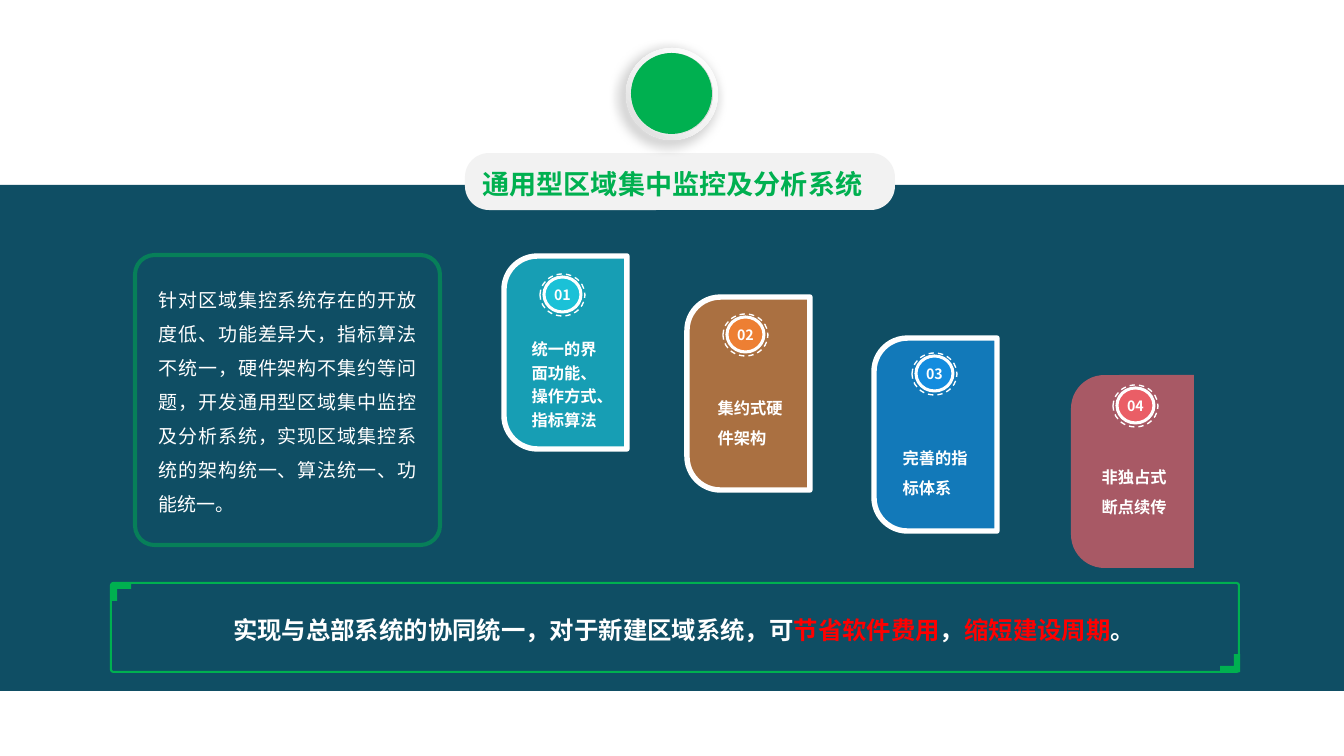
from pptx import Presentation
from pptx.dml.color import RGBColor
from pptx.enum.dml import MSO_LINE
from pptx.enum.shapes import MSO_SHAPE
from pptx.enum.text import MSO_ANCHOR, MSO_AUTO_SIZE, PP_ALIGN
from pptx.oxml import parse_xml
from pptx.oxml.ns import nsdecls, qn
from pptx.util import Pt
from lxml import etree

PX = 9378  # EMU per px, 97.5 px to the inch
ROUND, HALF_ROUND = MSO_SHAPE.ROUNDED_RECTANGLE, MSO_SHAPE.ROUND_2_SAME_RECTANGLE
OVAL, DONUT = MSO_SHAPE.OVAL, MSO_SHAPE.DONUT
LEFT, CENTER, JUSTIFY = PP_ALIGN.LEFT, PP_ALIGN.CENTER, PP_ALIGN.JUSTIFY
TOP, MIDDLE = MSO_ANCHOR.TOP, MSO_ANCHOR.MIDDLE
GROW, DASH = MSO_AUTO_SIZE.SHAPE_TO_FIT_TEXT, MSO_LINE.DASH
FONT = "Noto Sans CJK SC"
WHITE, GREEN, RED, NAVY, PALE = "FFFFFF", "00B050", "FF0000", "0F4E64", "F2F2F2"

deck = Presentation()
deck.slide_width, deck.slide_height = 1344 * PX, 756 * PX
page = deck.slides.add_slide(deck.slide_layouts[6])


def add_figure(kind, frame, fill=None, line=None, width=0, alpha=None, adjust=()):
    """Draw a preset shape; alpha is the opacity in percent of its fill, or of its line if unfilled."""
    figure = page.shapes.add_shape(kind, *(length * PX for length in frame))
    figure.shadow.inherit = False
    for index, value in enumerate(adjust):
        figure.adjustments[index] = value
    for paint, color in ((figure.fill, fill), (figure.line.fill, line)):
        if color:
            paint.solid()
            paint.fore_color.rgb = RGBColor.from_string(color)
        else:
            paint.background()
    if line:
        figure.line.width = Pt(width)
    if alpha:
        color = next(figure.element.spPr.iter(qn("a:srgbClr")))
        etree.SubElement(color, qn("a:alpha"), val=str(alpha * 1000))
    return figure


def write(box, spans, size, bold=True, align=LEFT, spacing=1, **frame_format):
    """Fill the box with one paragraph made of (text, colour) spans."""
    for name, value in frame_format.items():
        setattr(box.text_frame, name, value)
    para = box.text_frame.paragraphs[0]
    para.alignment, para.line_spacing = align, spacing
    for text, color in spans:
        span = para.add_run()
        span.text = text
        for name, value in {"size": Pt(size), "bold": bold, "name": FONT}.items():
            setattr(span.font, name, value)
        span.font.color.rgb = RGBColor.from_string(color)
        etree.SubElement(span.font._element, qn("a:ea"), typeface=FONT)


# Background band and text blocks
add_figure(ROUND, (0, 185, 1344, 506), NAVY, adjust=[0])
add_figure(ROUND, (135, 255, 305, 290), line=GREEN, width=3, alpha=50, adjust=[0.067])

intro = "针对区域集控系统存在的开放度低、功能差异大，指标算法不统一，硬件架构不集约等问题，开发通用型区域集中监控及分析系统，实现区域集控系统的架构统一、算法统一、功能统一。"
summary = [
    ("实现与总部系统的协同统一，对于新建区域系统，可", WHITE),
    ("节省软件费用", RED),
    ("，", WHITE),
    ("缩短建设周期", RED),
    ("。", WHITE),
]
title = "通用型区域集中监控及分析系统"

box = page.shapes.add_textbox(149 * PX, 272 * PX, 277 * PX, 251 * PX)
write(box, [(intro, WHITE)], 14, False, JUSTIFY, 1.5, word_wrap=True, auto_size=GROW)
box = page.shapes.add_textbox(214 * PX, 605 * PX, 940 * PX, 45 * PX)
write(box, summary, 18, True, CENTER, 1.2, word_wrap=True, auto_size=GROW)

# Stepped cards: colour, outline, card corner, badge corner, text frame, spacing, text
cards = [
    ("1BC1D7", WHITE, (469, 291), (544, 277), (522, 331, 94, 104), 1.2, "统一的界面功能、操作方式、指标算法"),
    ("ED7F33", WHITE, (652, 332), (727, 317), (708, 384, 99, 69), 1.5, "集约式硬件架构"),
    ("148CDE", WHITE, (839, 373), (916, 356), (893, 434, 94, 65), 1.5, "完善的指标体系"),
    ("EA5E66", None, (1036, 410), (1117, 388), (1092, 453, 86, 69), 1.5, "非独占式断点续传"),
]
for number, (color, outline, corner, badge_at, frame, spacing, text) in enumerate(cards, 1):
    card = add_figure(HALF_ROUND, (*corner, 193, 123), color, outline, 4, 70, [0.272, 0])
    card.rotation = 270
    box = page.shapes.add_textbox(*(length * PX for length in frame))
    write(box, [(text, WHITE)], 12, spacing=spacing, word_wrap=True, auto_size=GROW)
    badge = add_figure(OVAL, (*badge_at, 37, 35), color, WHITE, 2.25)
    write(badge, [(f"{number:02}", WHITE)], 10.5, align=CENTER,
          vertical_anchor=MIDDLE, margin_left=0, margin_right=0)
    ring = add_figure(OVAL, (badge_at[0] - 4, badge_at[1] - 3, 45, 42), line=WHITE, width=1)
    ring.line.dash_style = DASH

# Title plate with its green disc
add_figure(ROUND, (465, 153, 430, 57), PALE, adjust=[0.423])
box = page.shapes.add_textbox(471 * PX, 162 * PX, 403 * PX, 43 * PX)
write(box, [(title, GREEN)], 20, align=CENTER,
      vertical_anchor=MIDDLE, word_wrap=False, auto_size=GROW)

rim = add_figure(DONUT, (626, 48, 92, 92), PALE, adjust=[0.049])
stops = "".join(
    f'<a:gs pos="{position * 1000}"><a:srgbClr val="{color}"/></a:gs>'
    for position, color in ((0, WHITE), (55, PALE), (100, "D9D9D9"))
)
gradient = parse_xml(
    f'<a:gradFill {nsdecls("a")}><a:gsLst>{stops}</a:gsLst>'
    '<a:lin ang="8100000" scaled="0"/></a:gradFill>'
)
shadow = parse_xml(
    f'<a:outerShdw {nsdecls("a")} blurRad="{Pt(10)}" dist="{Pt(4)}" dir="8100000" algn="ctr" '
    'rotWithShape="0"><a:srgbClr val="000000"><a:alpha val="50000"/></a:srgbClr></a:outerShdw>'
)
rim_format = rim.element.spPr
rim_format.replace(rim_format.find(qn("a:solidFill")), gradient)
rim_format.find(qn("a:effectLst")).append(shadow)
add_figure(OVAL, (631, 53, 81, 81), GREEN)

# Summary frame with two mirrored corner marks
add_figure(ROUND, (111, 583, 1128, 89), line=GREEN, width=1.5, adjust=[0.028])
mark = [(20, 0), (20, 6), (6, 6), (6, 18), (0, 18)]
for x, y, sign in ((111, 583, 1), (1240, 672, -1)):
    outline = page.shapes.build_freeform(x, y, scale=PX)
    outline.add_line_segments([(x + sign * dx, y + sign * dy) for dx, dy in mark])
    corner_mark = outline.convert_to_shape()
    corner_mark.shadow.inherit = False
    corner_mark.fill.solid()
    corner_mark.fill.fore_color.rgb = RGBColor.from_string(GREEN)
    corner_mark.line.fill.background()

deck.save("out.pptx")
